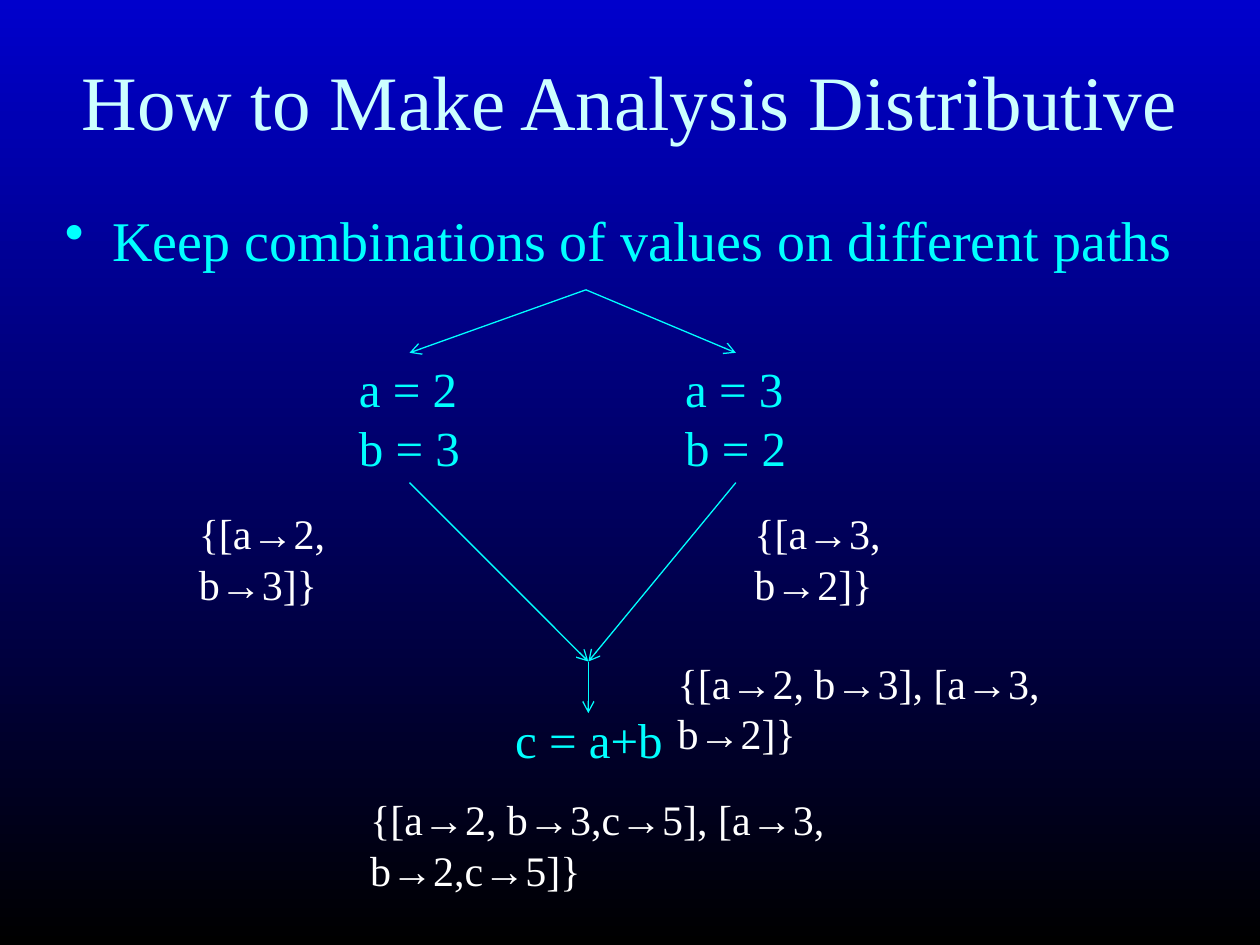
from lxml import etree
from pptx import Presentation
from pptx.dml.color import RGBColor
from pptx.enum import shapes, text
from pptx.oxml import ns
from pptx.util import Pt

SERIF, ARROW_FONT = "Times New Roman", "Arial"
CYAN, WHITE, PALE = "00FFFF", "FFFFFF", "CCFFFF"
color = RGBColor.from_string


def write(frame, lines, size, hue, wrap=True):
    """Fill a text frame with lines, setting each → in the arrow font."""
    frame.word_wrap = wrap
    frame.text = "\n".join(lines)
    for paragraph, line in zip(frame.paragraphs, lines):
        paragraph.font.size = Pt(size)
        paragraph.font.name = SERIF
        paragraph.font.color.rgb = color(hue)
        if "→" in line:
            paragraph.clear()
            for i, part in enumerate(line.split("→")):
                if i:
                    arrow = paragraph.add_run()
                    arrow.text = "→"
                    arrow.font.name = ARROW_FONT
                paragraph.add_run().text = part


def add_text(left, top, width, height, lines, size, hue, wrap=True):
    box = slide.shapes.add_textbox(Pt(left), Pt(top), Pt(width), Pt(height))
    write(box.text_frame, lines, size, hue, wrap)
    return box.text_frame


prs = Presentation()
prs.slide_width, prs.slide_height = Pt(720), Pt(540)
slide = prs.slides.add_slide(prs.slide_layouts[5])

# Background: blue fading down to black
backdrop = slide.background.fill
backdrop.gradient()
backdrop.gradient_angle = 270
for stop, hue in zip(backdrop.gradient_stops, ("0000CC", "000000")):
    stop.color.rgb = color(hue)

# Title
title = slide.shapes.title
title.left, title.top, title.width, title.height = Pt(30), Pt(12), Pt(660), Pt(90)
write(title.text_frame, ["How to Make Analysis Distributive"], 44, PALE)
title.text_frame.vertical_anchor = text.MSO_ANCHOR.MIDDLE
title.text_frame.paragraphs[0].alignment = text.PP_ALIGN.CENTER

# Bulleted main point
point = add_text(30, 114, 660, 384,
                 ["Keep combinations of values on different paths"], 32, CYAN)
point.paragraphs[0].space_before = Pt(8)
bullet_props = point.paragraphs[0]._p.get_or_add_pPr()
bullet_props.set("marL", str(Pt(27)))
bullet_props.set("indent", str(-Pt(27)))
bullet = etree.Element(ns.qn("a:buChar"), char="•")
bullet_props.find(ns.qn("a:defRPr")).addprevious(bullet)

# Program statements
for left, top, width, height, statements in (
    (198, 201.6, 72, 75, ["a = 2", "b = 3"]),
    (384.5, 201.6, 72, 75, ["a = 3", "b = 2"]),
    (287.3, 401.8, 98.6, 41, ["c = a+b"]),
):
    add_text(left, top, width, height, statements, 28, CYAN, wrap=False)

# Control flow arrows
split, merge = (334.8, 165.6), (336.2, 378)
left_x, right_x, branch_top, branch_bottom = 234, 420.5, 201.6, 275.8
for start, end in (
    (split, (left_x, branch_top)),
    (split, (right_x, branch_top)),
    ((left_x, branch_bottom), merge),
    ((right_x, branch_bottom), merge),
    (merge, (merge[0], 407.5)),
):
    flow = slide.shapes.add_connector(
        shapes.MSO_CONNECTOR.STRAIGHT, *map(Pt, start + end))
    flow.line.width = Pt(0.75)
    flow.line.color.rgb = color(CYAN)
    props = flow._element.spPr
    etree.SubElement(props.find(ns.qn("a:ln")), ns.qn("a:tailEnd"), type="arrow")
    etree.SubElement(props, ns.qn("a:effectLst"))

# Value sets known at each program point
for left, top, width, values in (
    (106.5, 286.6, 151, "{[a→2, b→3]}"),
    (424, 286.6, 151, "{[a→3, b→2]}"),
    (380.2, 372, 282, "{[a→2, b→3], [a→3, b→2]}"),
    (204.5, 450, 379, "{[a→2, b→3,c→5], [a→3, b→2,c→5]}"),
):
    add_text(left, top, width, 36, [values], 24, WHITE)

prs.save("out.pptx")
